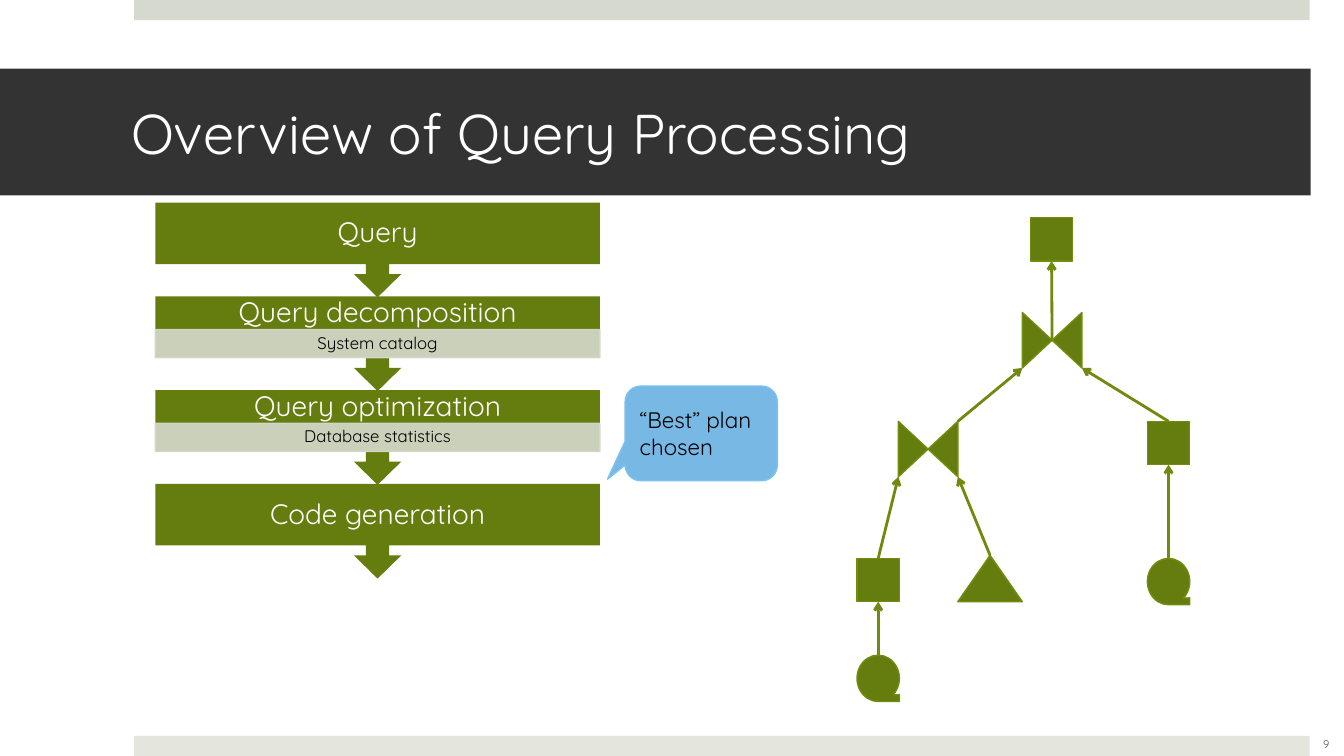
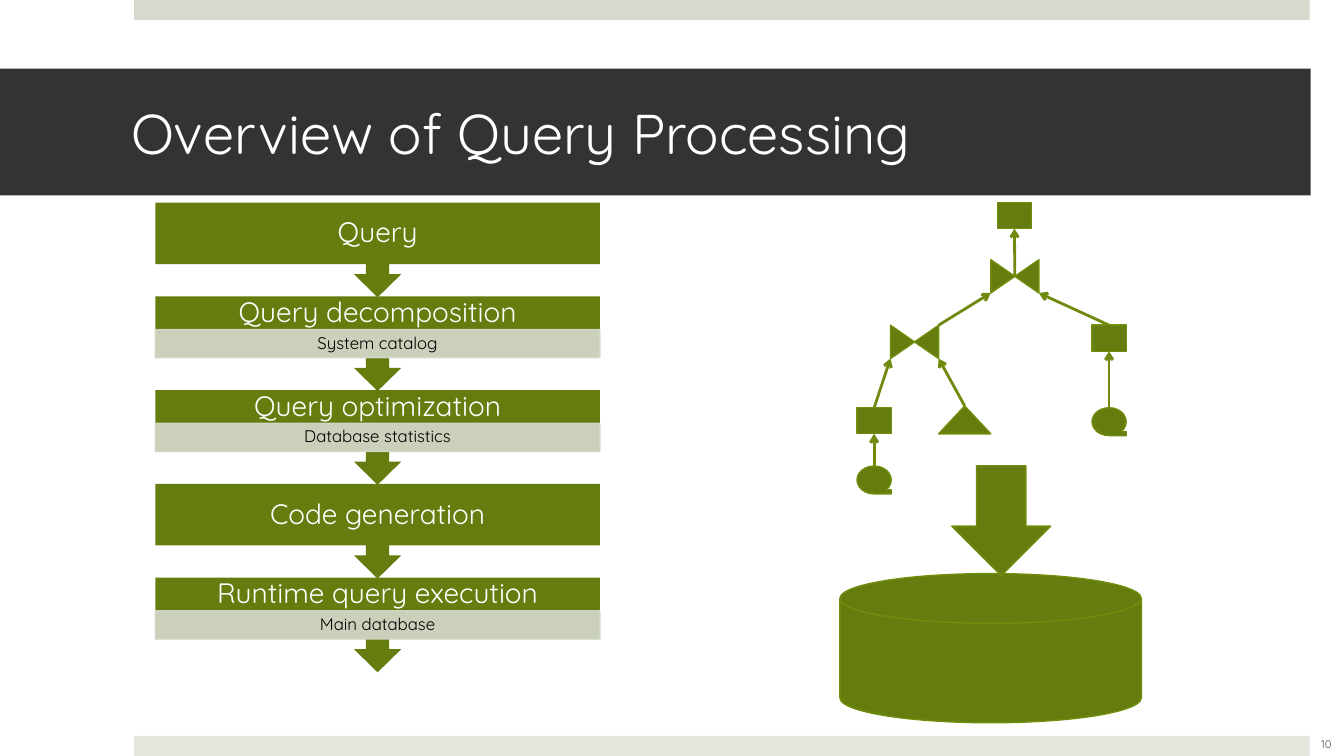
from lxml import etree
from pptx import Presentation
from pptx.dml.color import RGBColor
from pptx.enum.shapes import MSO_CONNECTOR, MSO_SHAPE
from pptx.enum.text import MSO_ANCHOR, MSO_AUTO_SIZE, PP_ALIGN
from pptx.oxml.ns import qn
from pptx.util import Inches, Pt

RECT, CALLOUT = MSO_SHAPE.RECTANGLE, MSO_SHAPE.ROUNDED_RECTANGULAR_CALLOUT
DISK, DOWN_ARROW = MSO_SHAPE.FLOWCHART_MAGNETIC_DISK, MSO_SHAPE.DOWN_ARROW
TAPE, EXTRACT = MSO_SHAPE.FLOWCHART_SEQUENTIAL_ACCESS_STORAGE, MSO_SHAPE.FLOWCHART_EXTRACT
COLLATE, PROCESS = MSO_SHAPE.FLOWCHART_COLLATE, MSO_SHAPE.FLOWCHART_PROCESS
STRAIGHT = MSO_CONNECTOR.STRAIGHT
MIDDLE, NO_FIT = MSO_ANCHOR.MIDDLE, MSO_AUTO_SIZE.NONE
LEFT, CENTER = PP_ALIGN.LEFT, PP_ALIGN.CENTER

FONT = "Quicksand"
COLORS = {
    "top band": "D6D9CD", "bottom band": "E4E6DE", "title": "333333",
    "green": "657D0E", "outline": "718D0C", "arrow": "6F8A0F",
    "detail": "D5DACC", "callout": "77B8E4", "callout line": "7AC2F2",
    "white": "FFFFFF", "black": "000000", "number": "595959",
}
TITLE = "Overview of Query Processing"
STEPS = [
    ("Query", None),
    ("Query decomposition", "System catalog"),
    ("Query optimization", "Database statistics"),
    ("Code generation", None),
    ("Runtime query execution", "Main database"),
]

# Plan tree on a grid of TREE_W by TREE_H: preset, left, top, width, height
TREE_W, TREE_H = 3.3, 4.8
NODES = {
    "left scan": (TAPE, 0, 4.34, 0.42, 0.46),
    "right scan": (TAPE, 2.88, 3.38, 0.42, 0.46),
    "extract": (EXTRACT, 1, 3.35, 0.64, 0.46),
    "low join": (COLLATE, 0.41, 2.02, 0.59, 0.55),
    "left process": (PROCESS, 0, 3.38, 0.42, 0.43),
    "right process": (PROCESS, 2.88, 2.02, 0.42, 0.43),
    "top join": (COLLATE, 1.64, 0.94, 0.59, 0.55),
    "root": (PROCESS, 1.72, 0, 0.42, 0.43),
}
# Ends as fractions of the node's box
TOP, BOTTOM, MID = (0.5, 0), (0.5, 1), (0.5, 0.5)
LOW_LEFT, LOW_RIGHT, UP_RIGHT = (0, 1), (1, 1), (1, 0)
SITES = {TOP: 0, BOTTOM: 2}
EDGES = [
    ("left scan", TOP, "left process", BOTTOM),
    ("extract", TOP, "low join", LOW_RIGHT),
    ("left process", TOP, "low join", LOW_LEFT),
    ("right scan", TOP, "right process", BOTTOM),
    ("right process", TOP, "top join", LOW_RIGHT),
    ("low join", UP_RIGHT, "top join", LOW_LEFT),
    ("top join", MID, "root", BOTTOM),
]


def rgb(name):
    return RGBColor.from_string(COLORS[name])


def paint(sp, fill, line=None):
    sp.shadow.inherit = False
    sp.fill.solid()
    sp.fill.fore_color.rgb = rgb(fill)
    if line:
        sp.line.color.rgb = rgb(line)
        sp.line.width = Pt(1)
    else:
        sp.line.fill.background()


def add_shape(slide, preset, box, fill, line=None):
    sp = slide.shapes.add_shape(preset, *map(Inches, box))
    paint(sp, fill, line)
    return sp


def write(sp, text, size, color, align=CENTER, insets=(0.1, 0.05, 0.1, 0.05), spacing=1.0):
    tf = sp.text_frame
    tf.text = text
    left, top, right, bottom = map(Inches, insets)
    frame = {"word_wrap": True, "auto_size": NO_FIT, "vertical_anchor": MIDDLE,
             "margin_left": left, "margin_top": top,
             "margin_right": right, "margin_bottom": bottom}
    for name, value in frame.items():
        setattr(tf, name, value)
    p = tf.paragraphs[0]
    p.alignment, p.line_spacing = align, spacing
    font = p.runs[0].font
    font.name, font.size = FONT, Pt(size)
    font.color.rgb = rgb(color)


def add_base(prs, number):
    """Title bar, edge bands and slide number."""
    slide = prs.slides.add_slide(prs.slide_layouts[5])
    title = slide.shapes.title
    title.left, title.top, title.width, title.height = map(Inches, (0, 0.68, 13, 1.26))
    title.fill.solid()
    title.fill.fore_color.rgb = rgb("title")
    write(title, TITLE, 40, "white", LEFT, (1.3, 0.05, 0.3, 0.05))
    add_shape(slide, RECT, (1.33, 0, 11.66, 0.2), "top band")
    add_shape(slide, RECT, (1.33, 7.3, 11.66, 0.2), "bottom band")
    box = slide.shapes.add_textbox(*map(Inches, (12.82, 7.18, 0.67, 0.4)))
    write(box, str(number), 8, "number")
    return slide


def add_step(slide, x, y, w, heading, detail):
    """Block with a down arrow below it, and a detail strip if there is one."""
    block_h, neck_h, step_h = 0.61, 0.71, 0.94
    mid, neck, head = x + w / 2, 0.115, 0.235
    right_half = [(neck, block_h), (neck, neck_h), (head, neck_h)]
    points = [(x + w, y + block_h)]
    points += [(mid + dx, y + dy) for dx, dy in right_half]
    points.append((mid, y + step_h))
    points += [(mid - dx, y + dy) for dx, dy in reversed(right_half)]
    points += [(x, y + block_h), (x, y), (x + w, y)]
    points = [(Inches(px), Inches(py)) for px, py in points]
    builder = slide.shapes.build_freeform(*points[0])
    builder.add_line_segments(points[1:], close=True)
    sp = builder.convert_to_shape()
    paint(sp, "green")
    below = 0.76 if detail else 0.48
    write(sp, heading, 20, "white", insets=(0.16, 0.16, 0.16, below), spacing=0.9)
    if detail:
        strip = add_shape(slide, RECT, (x, y + 0.33, w, 0.28), "detail", "detail")
        for clr in strip._element.spPr.iter(qn("a:srgbClr")):
            etree.SubElement(clr, qn("a:alpha"), val="90000")
        write(strip, detail, 12, "black", insets=(0.09, 0.02, 0.09, 0.02), spacing=0.9)


def add_process(slide, x, y, w, steps, pitch=0.93):
    """Steps from the last up, so that each arrow tip lies over the next block."""
    for i, (heading, detail) in reversed(list(enumerate(steps))):
        add_step(slide, x, y + i * pitch, w, heading, detail)


def add_tree(slide, x, y, w, h):
    """Operator tree scaled to the given box."""
    sx, sy = w / TREE_W, h / TREE_H
    boxes, shapes = {}, {}
    for name, (preset, nx, ny, nw, nh) in NODES.items():
        bx, by, bw, bh = boxes[name] = (x + nx * sx, y + ny * sy, nw * sx, nh * sy)
        if preset == COLLATE:
            # Turned on its side, so width and height change places
            turned = (bx + (bw - bh) / 2, by + (bh - bw) / 2, bh, bw)
            sp = add_shape(slide, preset, turned, "green", "outline")
            sp.rotation = 270
        else:
            sp = add_shape(slide, preset, boxes[name], "green", "outline")
        shapes[name] = sp

    def point(name, end):
        bx, by, bw, bh = boxes[name]
        return Inches(bx + end[0] * bw), Inches(by + end[1] * bh)

    for child, start, parent, end in EDGES:
        c = slide.shapes.add_connector(STRAIGHT, *point(child, start), *point(parent, end))
        if start in SITES:
            c.begin_connect(shapes[child], SITES[start])
        if end in SITES:
            c.end_connect(shapes[parent], SITES[end])
        c.line.color.rgb = rgb("arrow")
        c.line.width = Pt(2)
        props = c._element.spPr
        etree.SubElement(props.find(qn("a:ln")), qn("a:tailEnd"), type="arrow")
        etree.SubElement(props, qn("a:effectLst"))


def add_callout(slide, box, text):
    sp = add_shape(slide, CALLOUT, box, "callout", "callout line")
    for i, value in enumerate((-0.616, 0.483, 0.167)):
        sp.adjustments[i] = value
    write(sp, text, 16, "black", LEFT)


def add_store(slide, x, y, w, h):
    """Database disk with an arrow leading down into it."""
    add_shape(slide, DISK, (x, y + 1.07, w, h - 1.07), "green", "outline")
    add_shape(slide, DOWN_ARROW, (x + 1.11, y, 0.98, 1.09), "green", "outline")


def main():
    prs = Presentation()
    prs.slide_width, prs.slide_height = Inches(13.33), Inches(7.5)

    # Plan chosen
    slide = add_base(prs, 9)
    add_process(slide, 1.54, 2.01, 4.41, STEPS[:4])
    add_tree(slide, 8.5, 2.16, 3.3, 4.8)
    add_callout(slide, (6.2, 3.83, 1.51, 0.94), "“Best” plan chosen")

    # Plan executed
    slide = add_base(prs, 10)
    add_process(slide, 1.54, 2.01, 4.41, STEPS)
    add_tree(slide, 8.5, 2.01, 2.67, 2.89)
    add_store(slide, 8.33, 4.62, 2.99, 2.55)

    prs.save("out.pptx")


if __name__ == "__main__":
    main()
